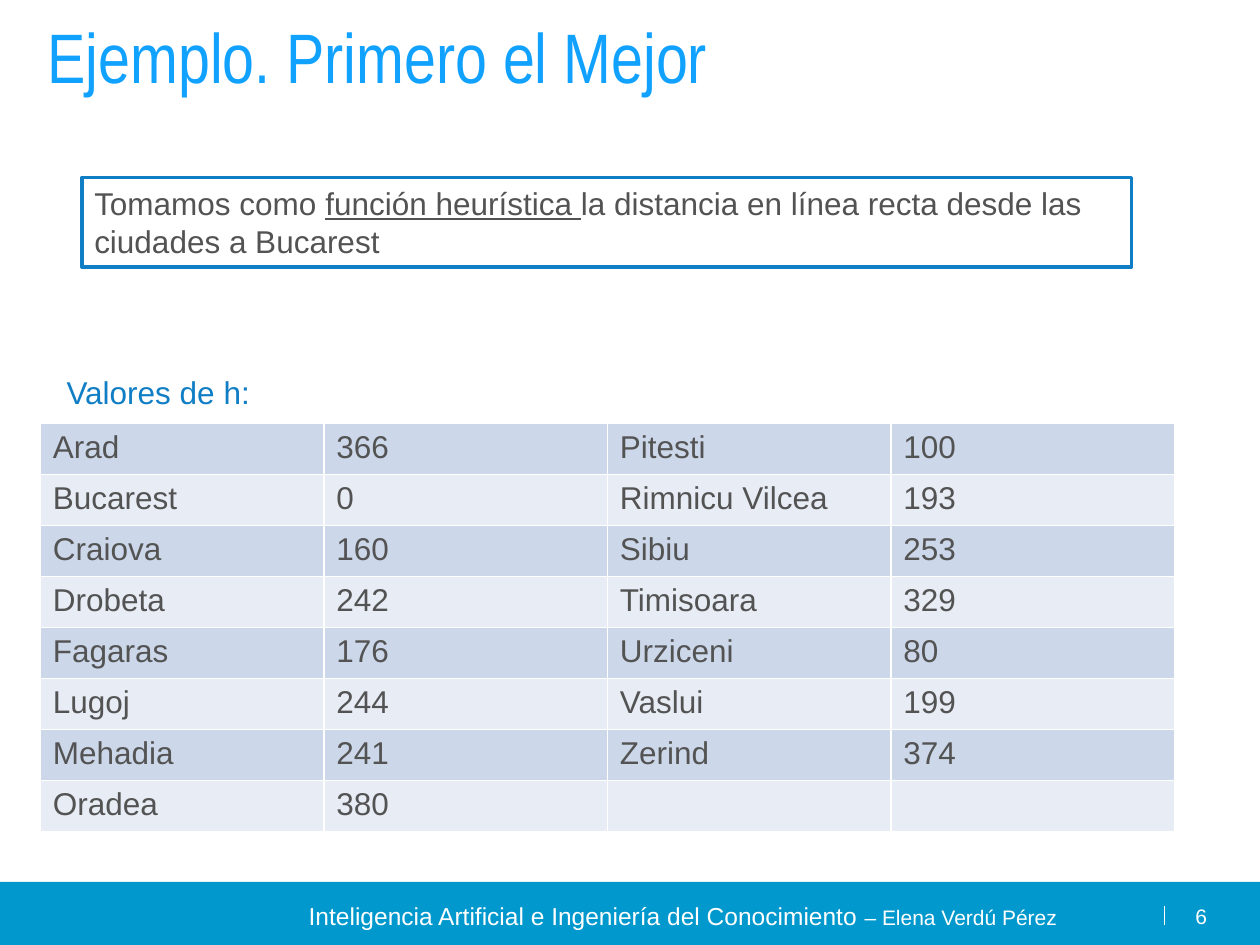
from dataclasses import dataclass

from lxml.etree import SubElement
from pptx import Presentation
from pptx.dml.color import RGBColor
from pptx.enum.shapes import MSO_CONNECTOR, MSO_SHAPE
from pptx.enum.text import MSO_ANCHOR, PP_ALIGN
from pptx.oxml import parse_xml
from pptx.oxml.ns import nsdecls, qn
from pptx.slide import Slide
from pptx.table import _Cell
from pptx.text.text import TextFrame
from pptx.util import Inches, Pt

WHITE = RGBColor(0xFF, 0xFF, 0xFF)
GRAY = RGBColor(0x53, 0x53, 0x53)
TITLE_BLUE = RGBColor(0x11, 0xA1, 0xFF)
ACCENT_BLUE = RGBColor(0x0F, 0x7E, 0xC5)
FOOTER_BLUE = RGBColor(0x00, 0x98, 0xCD)
BAND_COLORS = (RGBColor(0xCC, 0xD8, 0xEA), RGBColor(0xE7, 0xEC, 0xF5))


@dataclass(frozen=True)
class Box:
    left: float
    top: float
    width: float
    height: float

    def lengths(self) -> tuple:
        return tuple(Inches(n) for n in (self.left, self.top, self.width, self.height))


@dataclass(frozen=True)
class Style:
    size: int
    color: RGBColor
    name: str = "Arial"
    alignment: PP_ALIGN = PP_ALIGN.LEFT


@dataclass(frozen=True)
class Run:
    text: str
    size: int | None = None
    underline: bool | None = None


BODY = Style(18, GRAY)

HEURISTIC_VALUES = (
    ("Arad", "366", "Pitesti", "100"),
    ("Bucarest", "0", "Rimnicu Vilcea", "193"),
    ("Craiova", "160", "Sibiu", "253"),
    ("Drobeta", "242", "Timisoara", "329"),
    ("Fagaras", "176", "Urziceni", "80"),
    ("Lugoj", "244", "Vaslui", "199"),
    ("Mehadia", "241", "Zerind", "374"),
    ("Oradea", "380", "", ""),
)


def write(frame: TextFrame, runs: list[Run], style: Style) -> None:
    paragraph = frame.paragraphs[0]
    paragraph.alignment = style.alignment
    paragraph.font.size = Pt(style.size)
    paragraph.font.name = style.name
    paragraph.font.color.rgb = style.color
    for item in runs:
        if not item.text:
            continue
        run = paragraph.add_run()
        run.text = item.text
        if item.size:
            run.font.size = Pt(item.size)
        if item.underline:
            run.font.underline = True


def add_text(slide: Slide, box: Box, runs: list[Run], style: Style,
             margins: bool = True) -> None:
    frame = slide.shapes.add_textbox(*box.lengths()).text_frame
    frame.word_wrap = True
    if not margins:
        frame.margin_left = frame.margin_right = 0
        frame.margin_top = frame.margin_bottom = 0
    write(frame, runs, style)


def add_rectangle(slide: Slide, box: Box, fill: RGBColor,
                  line: RGBColor | None = None) -> TextFrame:
    shape = slide.shapes.add_shape(MSO_SHAPE.RECTANGLE, *box.lengths())
    shape.shadow.inherit = False
    shape.fill.solid()
    shape.fill.fore_color.rgb = fill
    if line is None:
        shape.line.fill.background()
    else:
        shape.line.color.rgb = line
        shape.line.width = Pt(2)
        SubElement(shape.line._get_or_add_ln(), qn("a:round"))
    shape.text_frame.word_wrap = True
    shape.text_frame.vertical_anchor = MSO_ANCHOR.TOP
    return shape.text_frame


def add_borders(cell: _Cell) -> None:
    properties = cell._tc.get_or_add_tcPr()
    for index, side in enumerate(("lnL", "lnR", "lnT", "lnB")):
        border = parse_xml(
            f'<a:{side} {nsdecls("a")} w="{Pt(1)}"><a:solidFill>'
            f'<a:srgbClr val="{WHITE}"/></a:solidFill></a:{side}>')
        properties.insert(index, border)


def add_values_table(slide: Slide, box: Box) -> None:
    row_count, column_count = len(HEURISTIC_VALUES), len(HEURISTIC_VALUES[0])
    table = slide.shapes.add_table(row_count, column_count, *box.lengths()).table
    table.first_row = False
    for row_index, values in enumerate(HEURISTIC_VALUES):
        for column_index, value in enumerate(values):
            cell = table.cell(row_index, column_index)
            cell.fill.solid()
            cell.fill.fore_color.rgb = BAND_COLORS[row_index % 2]
            add_borders(cell)
            write(cell.text_frame, [Run(value)], BODY)


def add_footer(slide: Slide) -> None:
    add_rectangle(slide, Box(0, 7, 10, 0.5), FOOTER_BLUE)
    divider = slide.shapes.add_connector(
        MSO_CONNECTOR.STRAIGHT, Inches(9.24), Inches(7.34), Inches(9.24), Inches(7.19))
    divider.line.color.rgb = WHITE
    divider.line.width = Pt(0.75)
    SubElement(divider._element.spPr, qn("a:effectLst"))
    add_text(slide, Box(1.83, 7.15, 7.18, 0.24),
             [Run("Inteligencia Artificial e Ingeniería del Conocimiento ", size=14),
              Run("– Elena Verdú Pérez", size=12)],
             Style(14, WHITE, alignment=PP_ALIGN.CENTER), margins=False)
    add_text(slide, Box(9.28, 7.17, 0.3, 0.19), [Run("6")],
             Style(12, WHITE, alignment=PP_ALIGN.RIGHT), margins=False)


def main() -> None:
    presentation = Presentation()
    presentation.slide_width = Inches(10)
    presentation.slide_height = Inches(7.5)
    slide = presentation.slides.add_slide(presentation.slide_layouts[6])

    # Footer band and title
    add_footer(slide)
    add_text(slide, Box(0.28, 0.06, 9, 1.25), [Run("Ejemplo. Primero el Mejor")],
             Style(40, TITLE_BLUE, "Arial Narrow"))

    # Table of heuristic values
    add_values_table(slide, Box(0.32, 3.36, 9, 3.24))

    # Definition of the heuristic and table heading
    definition = add_rectangle(slide, Box(0.65, 1.41, 8.33, 0.71), WHITE, ACCENT_BLUE)
    write(definition,
          [Run("Tomamos como "), Run("función heurística ", underline=True),
           Run("la distancia en línea recta desde las ciudades a Bucarest")], BODY)
    add_text(slide, Box(0.43, 2.91, 1.89, 0.4), [Run("Valores de h:")],
             Style(18, ACCENT_BLUE))

    presentation.save("out.pptx")


if __name__ == "__main__":
    main()
